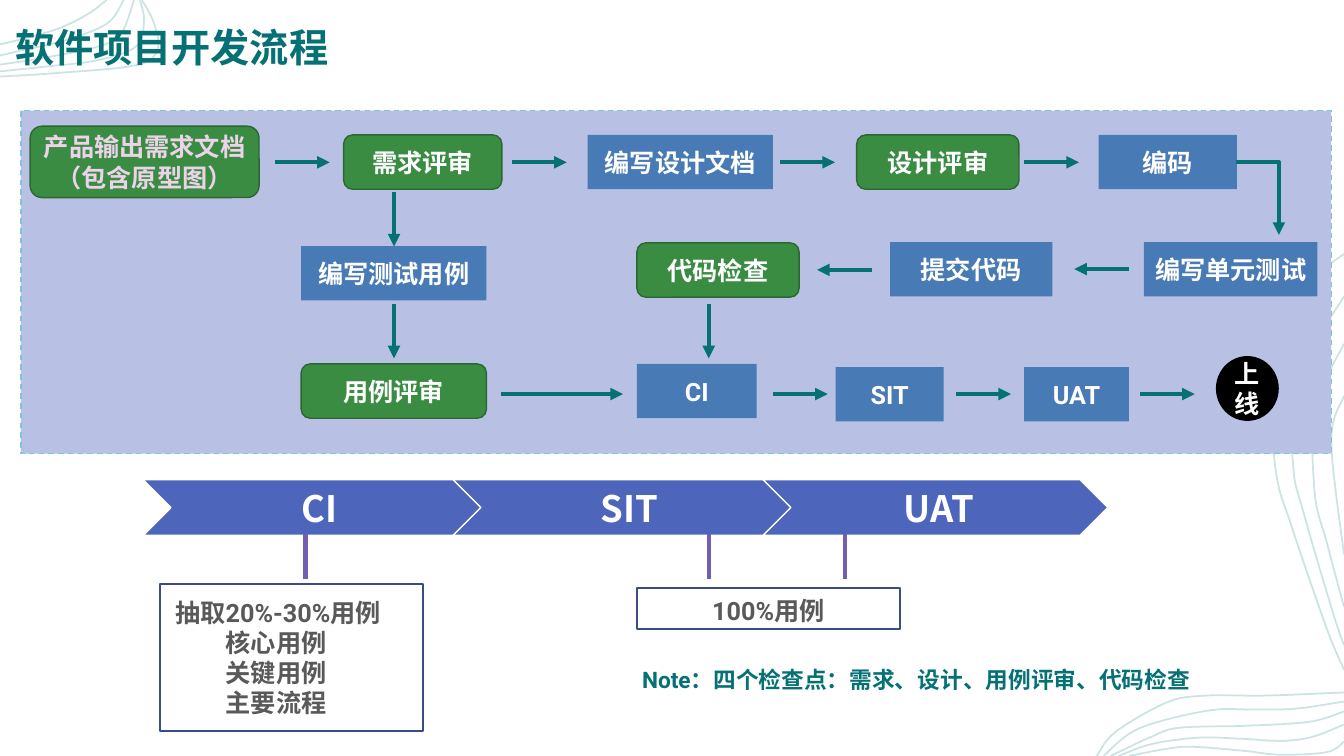
import pptx
import pptx.dml.color
import pptx.enum.dml
import pptx.enum.shapes
import pptx.enum.text
import pptx.oxml.ns
import pptx.util
from lxml import etree
from pptx.util import Cm

TEAL, PALE_TEAL, GREEN, DARK_GREEN = "057174", "CDE3E3", "3A8C42", "2B6831"
BLUE, INDIGO, NAVY, PURPLE = "487AB5", "4D65BB", "394B8A", "745EB4"
WHITE, BLACK, GREY, PINK = "FFFFFF", "000000", "595959", "EDD3EA"
LATIN_FONT, CHINESE_FONT = "Roboto", "Noto Sans CJK SC"
PRESET = pptx.enum.shapes.MSO_SHAPE
CONNECTOR = pptx.enum.shapes.MSO_CONNECTOR
ALIGN = pptx.enum.text.PP_ALIGN
ANCHOR = pptx.enum.text.MSO_ANCHOR

# Points that each background wave passes through, in centimetres
WAVES = [
    [(0, 1.12), (0.61, 0.97), (1.5, 0.71), (2.21, 0.36), (2.69, 0)],
    [(0, 1.93), (1.32, 1.85), (3.4, 1.65), (3.96, 1.27), (3.89, 0.61), (3.58, 0)],
    [(0, 1.8), (1.14, 1.68), (2.46, 1.52), (3.43, 1.17), (3.63, 0.53), (3.53, 0)],
    [(0, 1.63), (1.04, 1.47), (2.46, 1.18), (3.05, 0.85), (3.38, 0)],
    [(0, 1.4), (0.69, 1.24), (1.6, 1.03), (2.69, 0.6), (3.12, 0)],
    [(33.87, 9.98), (33.55, 11.1), (33.87, 13.97)],
    [(33.87, 8.66), (33.15, 10.29), (33.13, 12.4), (33.45, 13.72), (33.87, 15.29)],
    [(33.87, 7.47), (32.66, 9.6), (32.59, 11.73), (32.87, 12.98), (33.58, 15.4),
     (33.87, 16.26)],
    [(33.87, 6.4), (33.15, 7.03), (32.16, 8.66), (32, 9.65), (32.16, 11.91),
     (32.54, 13.23), (33.43, 15.82), (33.87, 16.87)],
    [(33.87, 17.45), (31.88, 17.53), (30.38, 17.53), (29.41, 17.7), (28.12, 18.44),
     (27.64, 19.05)],
    [(33.87, 17.68), (32.64, 17.86), (31.6, 17.88), (30.43, 17.91), (28.7, 18.36),
     (27.81, 19.05)],
    [(33.87, 17.93), (32.99, 18.19), (31.37, 18.29), (29.72, 18.34), (29.01, 18.57),
     (27.99, 19.05)],
    [(33.87, 18.26), (33.07, 18.57), (32.31, 18.67), (31.34, 18.62), (30.2, 18.59),
     (29.03, 18.75), (28.19, 19.05)],
    [(33.87, 18.69), (33.45, 18.95), (32.28, 19.02), (31.34, 18.92), (30.07, 18.82),
     (29.41, 18.87), (28.45, 19.05)],
]

# Text, left, top, width
REVIEWS = [
    ("需求评审", 8.66, 3.4, 3.99),
    ("设计评审", 21.59, 3.4, 4.09),
    ("代码检查", 16.05, 6.12, 4.09),
    ("用例评审", 7.59, 9.17, 4.67),
]
TASKS = [
    ("编写设计文档", 14.81, 3.4, 4.67),
    ("编码", 27.69, 3.4, 3.48),
    ("编写单元测试", 28.83, 6.1, 4.37),
    ("提交代码", 22.43, 6.1, 4.09),
    ("编写测试用例", 7.59, 6.2, 4.67),
    ("CI", 16.05, 9.17, 3.02),
    ("SIT", 21.06, 9.25, 2.72),
    ("UAT", 25.81, 9.25, 2.64),
]
STEP_HEIGHT = 1.37

# Start points of the short arrows, by direction
ARROW_LENGTH = 1.38
ARROWS = {
    (1, 0): [(6.93, 4.09), (12.9, 4.09), (19.66, 4.09), (25.81, 4.09),
             (19.48, 9.93), (24.1, 9.93), (28.73, 9.93)],
    (0, 1): [(9.93, 4.83), (9.93, 7.65), (17.86, 7.65)],
    (-1, 0): [(21.97, 6.8), (28.45, 6.78)],
}


def color(hex_string):
    return pptx.dml.color.RGBColor.from_string(hex_string)


def set_outline(shape, line_color, width):
    if line_color:
        shape.line.color.rgb = color(line_color)
        shape.line.width = pptx.util.Pt(width)
    else:
        shape.line.fill.background()


def set_text(shape, text, size=18, text_color=WHITE, font=LATIN_FONT, align=ALIGN.CENTER,
             anchor=ANCHOR.MIDDLE, margins=(0.1, 0.1, 0.1, 0.1), indent=0):
    """Fill a shape with bold text; lines after the first are indented by `indent`."""
    frame = shape.text_frame
    frame.word_wrap = True
    frame.vertical_anchor = anchor
    frame.margin_left, frame.margin_top, frame.margin_right, frame.margin_bottom = map(Cm, margins)
    frame.text = text
    for index, paragraph in enumerate(frame.paragraphs):
        paragraph.alignment = align
        if index and indent:
            paragraph.level = 1
            paragraph._p.get_or_add_pPr().set("marL", str(Cm(indent)))
        for run in paragraph.runs:
            run.font.size = pptx.util.Pt(size)
            run.font.bold = True
            run.font.color.rgb = color(text_color)
            run.font.name = font
            east_asian = etree.SubElement(run._r.get_or_add_rPr(), pptx.oxml.ns.qn("a:ea"))
            east_asian.set("typeface", CHINESE_FONT)


def add_block(slide, preset, left, top, width, height, fill=None, line=None, line_width=1):
    shape = slide.shapes.add_shape(preset, Cm(left), Cm(top), Cm(width), Cm(height))
    shape.shadow.inherit = False
    if fill:
        shape.fill.solid()
        shape.fill.fore_color.rgb = color(fill)
    else:
        shape.fill.background()
    set_outline(shape, line, line_width)
    return shape


def add_label(slide, text, left, top, width, height, **text_format):
    box = slide.shapes.add_textbox(Cm(left), Cm(top), Cm(width), Cm(height))
    set_text(box, text, text_color=TEAL, align=ALIGN.LEFT, **text_format)


def add_line(slide, start, end, line_color=TEAL, arrow=True, bent=False):
    kind = CONNECTOR.ELBOW if bent else CONNECTOR.STRAIGHT
    connector = slide.shapes.add_connector(kind, *map(Cm, (*start, *end)))
    set_outline(connector, line_color, 3)
    properties = connector._element.spPr
    if bent:
        properties.find(pptx.oxml.ns.qn("a:prstGeom")).set("prst", "bentConnector2")
    if arrow:
        head = etree.SubElement(connector.line._get_or_add_ln(), pptx.oxml.ns.qn("a:tailEnd"))
        head.set("type", "triangle")
    etree.SubElement(properties, pptx.oxml.ns.qn("a:effectLst"))


def smooth_points(points, steps=10):
    """Return points of a Catmull-Rom curve through the given points."""
    padded = [points[0], *points, points[-1]]
    curve = [points[0]]
    for a, b, c, d in zip(padded, padded[1:], padded[2:], padded[3:]):
        for step in range(1, steps + 1):
            t = step / steps
            curve.append(tuple(
                (2 * q + (r - p) * t + (2 * p - 5 * q + 4 * r - s) * t ** 2
                 + (3 * q - p - 3 * r + s) * t ** 3) / 2
                for p, q, r, s in zip(a, b, c, d)))
    return curve


def add_wave(slide, points):
    first, *rest = [(Cm(x), Cm(y)) for x, y in smooth_points(points)]
    builder = slide.shapes.build_freeform(*first)
    builder.add_line_segments(rest, close=False)
    wave = builder.convert_to_shape()
    wave.shadow.inherit = False
    wave.fill.background()
    set_outline(wave, PALE_TEAL, 1.25)


def add_flow(slide):
    panel = add_block(slide, PRESET.RECTANGLE, 0.53, 2.79, 33.02, 8.64, "B8C1E4", "7BC5DD")
    panel.line.dash_style = pptx.enum.dml.MSO_LINE.DASH
    document = add_block(slide, PRESET.ROUNDED_RECTANGLE, 0.76, 3.18, 5.77, 1.8, GREEN, DARK_GREEN)
    set_text(document, "产品输出需求文档（包含原型图）", text_color=PINK)
    for text, left, top, width in REVIEWS:
        review = add_block(slide, PRESET.ROUNDED_RECTANGLE, left, top, width, STEP_HEIGHT,
                           GREEN, DARK_GREEN)
        set_text(review, text)
    for text, left, top, width in TASKS:
        set_text(add_block(slide, PRESET.RECTANGLE, left, top, width, STEP_HEIGHT, BLUE), text)
    set_text(add_block(slide, PRESET.OVAL, 30.66, 8.99, 1.55, 1.6, BLACK, BLACK), "上线")
    for (across, down), starts in ARROWS.items():
        for x, y in starts:
            add_line(slide, (x, y), (x + across * ARROW_LENGTH, y + down * ARROW_LENGTH))
    add_line(slide, (12.62, 9.93), (15.7, 9.93))
    add_line(slide, (31.14, 4.09), (32.23, 5.92), bent=True)


def add_phases(slide):
    for index, name in enumerate(["CI", "SIT", "UAT"]):
        chevron = add_block(slide, PRESET.CHEVRON, 3.61 + 7.81 * index, 12.09, 8.69, 1.4,
                            INDIGO, WHITE)
        set_text(chevron, name, size=26, font=CHINESE_FONT, margins=(0.28, 0.1, 0.1, 0.1))
    sample = add_block(slide, PRESET.RECTANGLE, 4.04, 14.71, 6.63, 3.71, line=NAVY, line_width=1.5)
    set_text(sample, "抽取20%-30%用例\n核心用例\n关键用例\n主要流程", text_color=GREY,
             align=ALIGN.LEFT, anchor=ANCHOR.TOP, margins=(0.38, 0.33, 0.1, 0.1), indent=1.27)
    everything = add_block(slide, PRESET.RECTANGLE, 16.05, 14.81, 6.63, 1.04,
                           line=NAVY, line_width=1.5)
    set_text(everything, "100%用例", text_color=GREY, anchor=ANCHOR.TOP, margins=(0.1, 0.2, 0.1, 0))
    for x in (7.7, 17.86, 21.29):
        add_line(slide, (x, 13.46), (x, 14.6), PURPLE, arrow=False)


def main():
    presentation = pptx.Presentation()
    presentation.slide_width, presentation.slide_height = Cm(33.87), Cm(19.05)
    slide = presentation.slides.add_slide(presentation.slide_layouts[6])
    for points in WAVES:
        add_wave(slide, points)
    add_flow(slide)
    add_label(slide, "Note：四个检查点：需求、设计、用例评审、代码检查", 15.93, 16.64, 16.74, 1.02,
              size=16.2, anchor=ANCHOR.TOP, margins=(0.25, 0.13, 0.25, 0.13))
    add_phases(slide)
    add_label(slide, "软件项目开发流程", 0.38, 0.1, 30, 1.68, size=28, font=CHINESE_FONT,
              anchor=ANCHOR.BOTTOM, margins=(0, 0, 0, 0))
    presentation.save("out.pptx")


if __name__ == "__main__":
    main()
